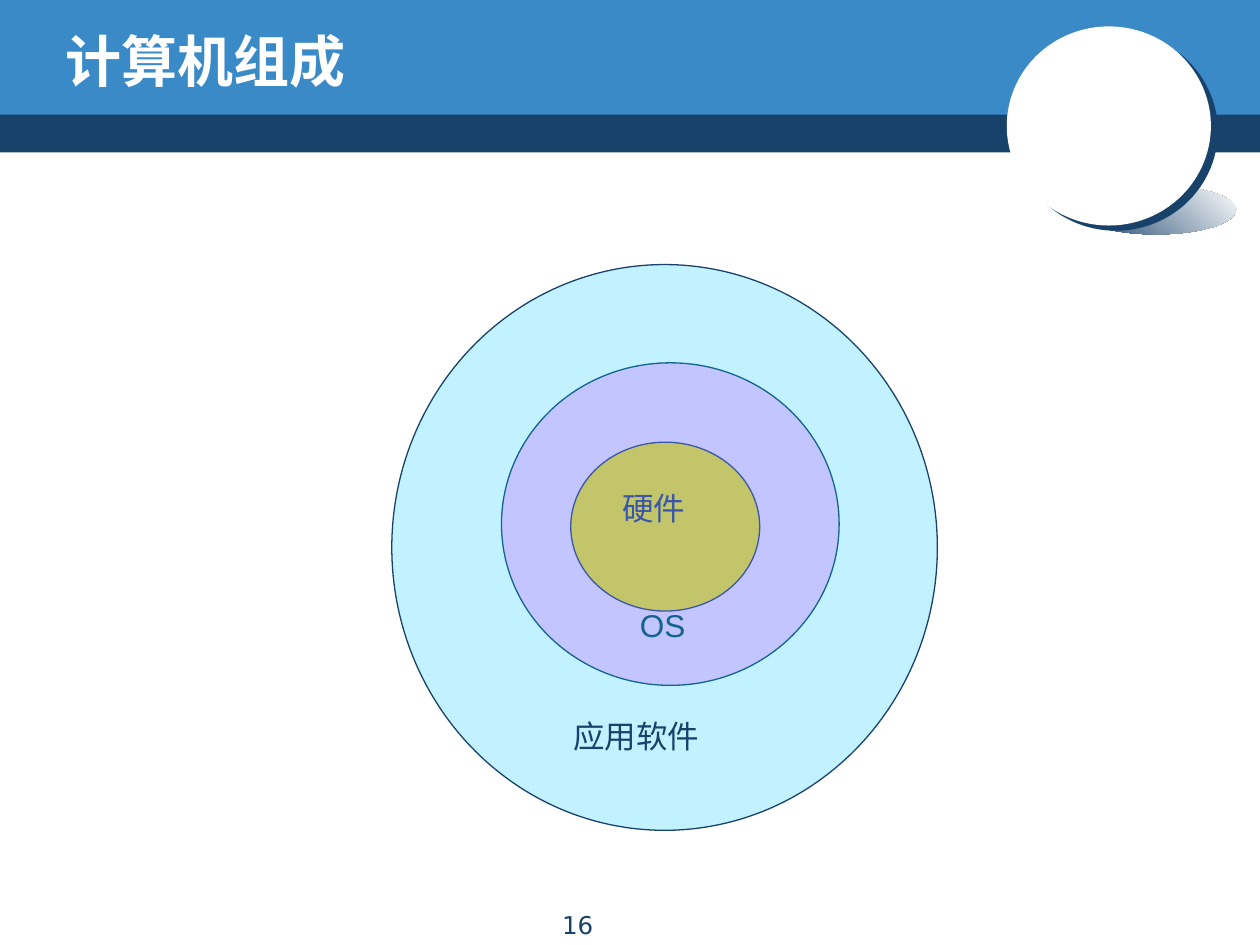
"""Builds the slide showing computer composition as nested circles."""
from dataclasses import dataclass
from typing import Optional

from lxml import etree
from pptx import Presentation
from pptx.dml.color import RGBColor
from pptx.enum import shapes, text
from pptx.oxml import ns
from pptx.util import Inches, Pt

NAVY = RGBColor(0x19, 0x42, 0x6B)
BLUE = RGBColor(0x39, 0x8A, 0xC7)
WHITE = RGBColor(0xFF, 0xFF, 0xFF)
YELLOW = RGBColor(0xFF, 0xFF, 0x00)
MAGENTA = RGBColor(0xFF, 0x00, 0xFF)
CYAN = RGBColor(0x00, 0xCC, 0xFF)
RECTANGLE = shapes.MSO_SHAPE.RECTANGLE
OVAL = shapes.MSO_SHAPE.OVAL


@dataclass
class Area:
    left: float
    top: float
    width: float
    height: float

    def lengths(self) -> list:
        return [Inches(n) for n in (self.left, self.top, self.width, self.height)]


@dataclass
class Label:
    words: str
    area: Area
    size: int = 18
    font: str = "Arial"
    color: RGBColor = NAVY
    bold: bool = False
    align: Optional[text.PP_ALIGN] = None
    anchor: text.MSO_ANCHOR = text.MSO_ANCHOR.TOP
    hanging: bool = False


@dataclass
class Layer:
    area: Area
    color: RGBColor
    opacity: int
    label: Label


def add_plain(page, kind, area: Area, color: RGBColor):
    shape = page.shapes.add_shape(kind, *area.lengths())
    shape.shadow.inherit = False
    shape.fill.solid()
    shape.fill.fore_color.rgb = color
    shape.line.fill.background()
    return shape


def add_label(page, label: Label) -> None:
    frame = page.shapes.add_textbox(*label.area.lengths()).text_frame
    frame.word_wrap = True
    frame.vertical_anchor = label.anchor
    frame.text = label.words
    para = frame.paragraphs[0]
    para.alignment = label.align
    if label.hanging:
        properties = para._p.get_or_add_pPr()
        properties.set("marL", str(Inches(0.38)))
        properties.set("indent", str(-Inches(0.38)))
    font = para.runs[0].font
    font.name, font.size, font.bold = label.font, Pt(label.size), label.bold
    font.color.rgb = label.color


def add_layer(page, layer: Layer) -> None:
    circle = add_plain(page, OVAL, layer.area, layer.color)
    circle.line.color.rgb = NAVY
    circle.line.width = Pt(0.75)
    if layer.opacity < 100:
        color = circle._element.spPr.find(f"{ns.qn('a:solidFill')}/{ns.qn('a:srgbClr')}")
        etree.SubElement(color, ns.qn("a:alpha"), val=str(layer.opacity * 1000))
    add_label(page, layer.label)


def add_hard_shadow(shape, color: RGBColor, distance: float, angle: int) -> None:
    effects = shape._element.spPr.find(ns.qn("a:effectLst"))
    shadow = etree.SubElement(effects, ns.qn("a:outerShdw"), blurRad="0",
                              dist=str(Pt(distance)), dir=str(angle * 60000),
                              algn="ctr", rotWithShape="0")
    etree.SubElement(shadow, ns.qn("a:srgbClr"), val=str(color))


def add_header(page) -> None:
    add_plain(page, RECTANGLE, Area(0, 0.87, 10, 0.34), NAVY)
    add_plain(page, RECTANGLE, Area(0, 0, 10, 0.91), BLUE)
    cast = add_plain(page, OVAL, Area(8.54, 1.47, 1.27, 0.39), NAVY)
    cast.fill.gradient()
    cast.fill.gradient_angle = 45
    for stop, position, color in zip(cast.fill.gradient_stops, (0, 1), (NAVY, WHITE)):
        stop.position = position
        stop.color.rgb = color
    ball = add_plain(page, OVAL, Area(7.99, 0.21, 1.62, 1.58), WHITE)
    add_hard_shadow(ball, NAVY, 5, 37)
    add_plain(page, OVAL, Area(8.54, 0.68, 0.57, 0.59), WHITE)


TITLE = Label("计算机组成", Area(0.42, 0.17, 8.08, 0.62), 32, "Comic Neue", WHITE,
              bold=True, anchor=text.MSO_ANCHOR.MIDDLE)
NUMBER = Label("16", Area(3.42, 7.17, 2.33, 0.26), 14, "DejaVu Sans",
               align=text.PP_ALIGN.CENTER)
LAYERS = [
    Layer(Area(4.53, 3.51, 1.5, 1.34), YELLOW, 100,
          Label("硬件", Area(4.84, 3.83, 1.18, 0.58), hanging=True)),
    Layer(Area(3.98, 2.88, 2.68, 2.56), MAGENTA, 23,
          Label("OS", Area(4.98, 4.76, 1.42, 0.58), hanging=True)),
    Layer(Area(3.11, 2.1, 4.33, 4.49), CYAN, 24,
          Label("应用软件", Area(4.45, 5.64, 2.13, 0.58), hanging=True)),
]


def main() -> None:
    deck = Presentation()
    deck.slide_width, deck.slide_height = Inches(10), Inches(7.5)
    page = deck.slides.add_slide(deck.slide_layouts[6])
    add_header(page)
    add_label(page, TITLE)
    for layer in LAYERS:
        add_layer(page, layer)
    add_label(page, NUMBER)
    deck.save("out.pptx")


if __name__ == "__main__":
    main()
